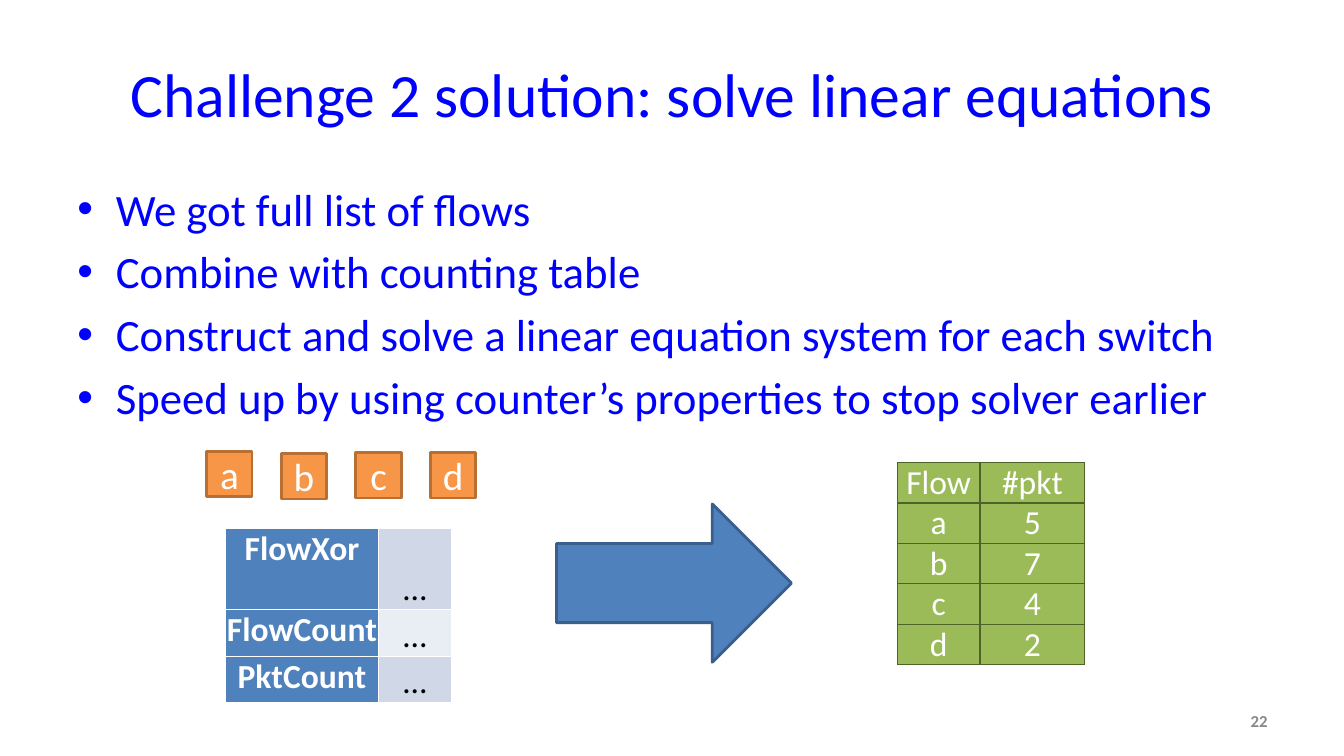
from dataclasses import dataclass

from lxml import etree
from pptx import Presentation
from pptx import util as u
from pptx.dml.color import RGBColor
from pptx.enum import shapes, text
from pptx.oxml.ns import qn


@dataclass(frozen=True)
class Theme:
    font: str = "Calibri"
    heading: str = "0000FF"
    white: str = "FFFFFF"
    black: str = "000000"
    muted: str = "898989"
    orange: str = "F79646"
    orange_edge: str = "B76F34"
    blue: str = "4F81BD"
    blue_edge: str = "3A5F8C"
    green: str = "9BBB59"
    green_edge: str = "4F6228"
    band_dark: str = "D0D8E8"
    band_light: str = "E9EDF4"
    title_size: float = 44
    body_size: float = 32
    flow_size: float = 28
    table_size: float = 24
    number_size: float = 12


class SlideBuilder:
    def __init__(self, slide, theme):
        self.slide = slide
        self.theme = theme

    def format(self, paragraph, size, color, align, bold=False):
        paragraph.alignment = align
        for run in paragraph.runs:
            run.font.name = self.theme.font
            run.font.size = u.Pt(size)
            run.font.bold = bold
            run.font.color.rgb = RGBColor.from_string(color)

    def title(self, wording, *box):
        heading = self.slide.shapes.title
        heading.left, heading.top, heading.width, heading.height = map(u.Inches, box)
        frame = heading.text_frame
        frame.text = wording
        frame.vertical_anchor = text.MSO_ANCHOR.MIDDLE
        self.format(frame.paragraphs[0], self.theme.title_size,
                    self.theme.heading, text.PP_ALIGN.CENTER)

    def textbox(self, wording, *box):
        frame = self.slide.shapes.add_textbox(*map(u.Inches, box)).text_frame
        frame.word_wrap = True
        frame.text = wording
        return frame

    def bullets(self, points, *box):
        frame = self.textbox("\n".join(points), *box)
        for index, paragraph in enumerate(frame.paragraphs):
            properties = paragraph._p.get_or_add_pPr()
            properties.set("marL", str(u.Inches(0.38)))
            properties.set("indent", str(u.Inches(-0.38)))
            etree.SubElement(properties, qn("a:buFont"), typeface="Arial")
            etree.SubElement(properties, qn("a:buChar"), char="•")
            if index:
                paragraph.space_before = u.Pt(0.2 * self.theme.body_size)
            self.format(paragraph, self.theme.body_size,
                        self.theme.heading, text.PP_ALIGN.LEFT)

    def page_number(self, number, *box):
        frame = self.textbox(number, *box)
        frame.vertical_anchor = text.MSO_ANCHOR.MIDDLE
        self.format(frame.paragraphs[0], self.theme.number_size,
                    self.theme.muted, text.PP_ALIGN.RIGHT, True)

    def shape(self, kind, fill, edge, *box, label=""):
        block = self.slide.shapes.add_shape(kind, *map(u.Inches, box))
        block.shadow.inherit = False
        block.fill.solid()
        block.fill.fore_color.rgb = RGBColor.from_string(fill)
        block.line.color.rgb = RGBColor.from_string(edge)
        block.line.width = u.Pt(2)
        if label:
            frame = block.text_frame
            frame.text = label
            frame.vertical_anchor = text.MSO_ANCHOR.MIDDLE
            self.format(frame.paragraphs[0], self.theme.flow_size,
                        self.theme.white, text.PP_ALIGN.CENTER)

    def table(self, left, top, widths, heights, rows, fills, color, border,
              anchor=text.MSO_ANCHOR.MIDDLE, bold=False):
        frame = self.slide.shapes.add_table(
            len(rows), len(widths), u.Inches(left), u.Inches(top),
            u.Inches(sum(widths)), u.Inches(sum(heights)))
        grid = frame.table
        grid.first_row = grid.horz_banding = False
        for column, width in zip(grid.columns, widths):
            column.width = u.Inches(width)
        for row, height, values, fill in zip(grid.rows, heights, rows, fills):
            row.height = u.Inches(height)
            for cell, value in zip(row.cells, values):
                cell.text = value
                cell.margin_left = cell.margin_right = 0
                cell.margin_top = cell.margin_bottom = 0
                cell.vertical_anchor = anchor
                cell.fill.solid()
                cell.fill.fore_color.rgb = RGBColor.from_string(fill)
                self.format(cell.text_frame.paragraphs[0], self.theme.table_size,
                            color, text.PP_ALIGN.CENTER, bold)
                self.borders(cell, border)

    def borders(self, cell, color):
        properties = cell._tc.get_or_add_tcPr()
        for index, side in enumerate(("lnL", "lnR", "lnT", "lnB")):
            line = etree.Element(qn(f"a:{side}"), w=str(u.Pt(1)))
            solid = etree.SubElement(line, qn("a:solidFill"))
            etree.SubElement(solid, qn("a:srgbClr"), val=color)
            properties.insert(index, line)


def main():
    deck = Presentation()
    deck.slide_width, deck.slide_height = u.Inches(13.33), u.Inches(7.5)
    theme = Theme()
    builder = SlideBuilder(deck.slides.add_slide(deck.slide_layouts[5]), theme)

    builder.title("Challenge 2 solution: solve linear equations", 0.67, 0.3, 12, 1.25)
    builder.bullets([
        "We got full list of flows",
        "Combine with counting table",
        "Construct and solve a linear equation system for each switch",
        "Speed up by using counter’s properties to stop solver earlier",
    ], 0.67, 1.75, 12, 4.95)
    builder.page_number("22", 9.56, 6.95, 3.11, 0.4)

    flow_tops = {"a": 4.48, "b": 4.5, "c": 4.49, "d": 4.49}
    for index, (flow, top) in enumerate(flow_tops.items()):
        builder.shape(shapes.MSO_SHAPE.RECTANGLE, theme.orange, theme.orange_edge,
                      2.05 + 0.74 * index, top, 0.45, 0.45, label=flow)

    counter_heights = [0.81, 0.46, 0.46]
    builder.table(3.75, 5.24, [0.73], counter_heights, [["…"]] * 3,
                  [theme.band_dark, theme.band_light, theme.band_dark],
                  theme.black, theme.white, text.MSO_ANCHOR.BOTTOM)
    builder.table(2.24, 5.24, [1.51], counter_heights,
                  [["FlowXor"], ["FlowCount"], ["PktCount"]], [theme.blue] * 3,
                  theme.white, theme.white, text.MSO_ANCHOR.TOP, True)

    builder.shape(shapes.MSO_SHAPE.RIGHT_ARROW, theme.blue, theme.blue_edge,
                  5.52, 5, 2.33, 1.57)

    packets = [["Flow", "#pkt"], ["a", "5"], ["b", "7"], ["c", "4"], ["d", "2"]]
    builder.table(8.9, 4.59, [0.82, 1.04], [0.4] * len(packets), packets,
                  [theme.green] * len(packets), theme.white, theme.green_edge)

    deck.save("out.pptx")


if __name__ == "__main__":
    main()
